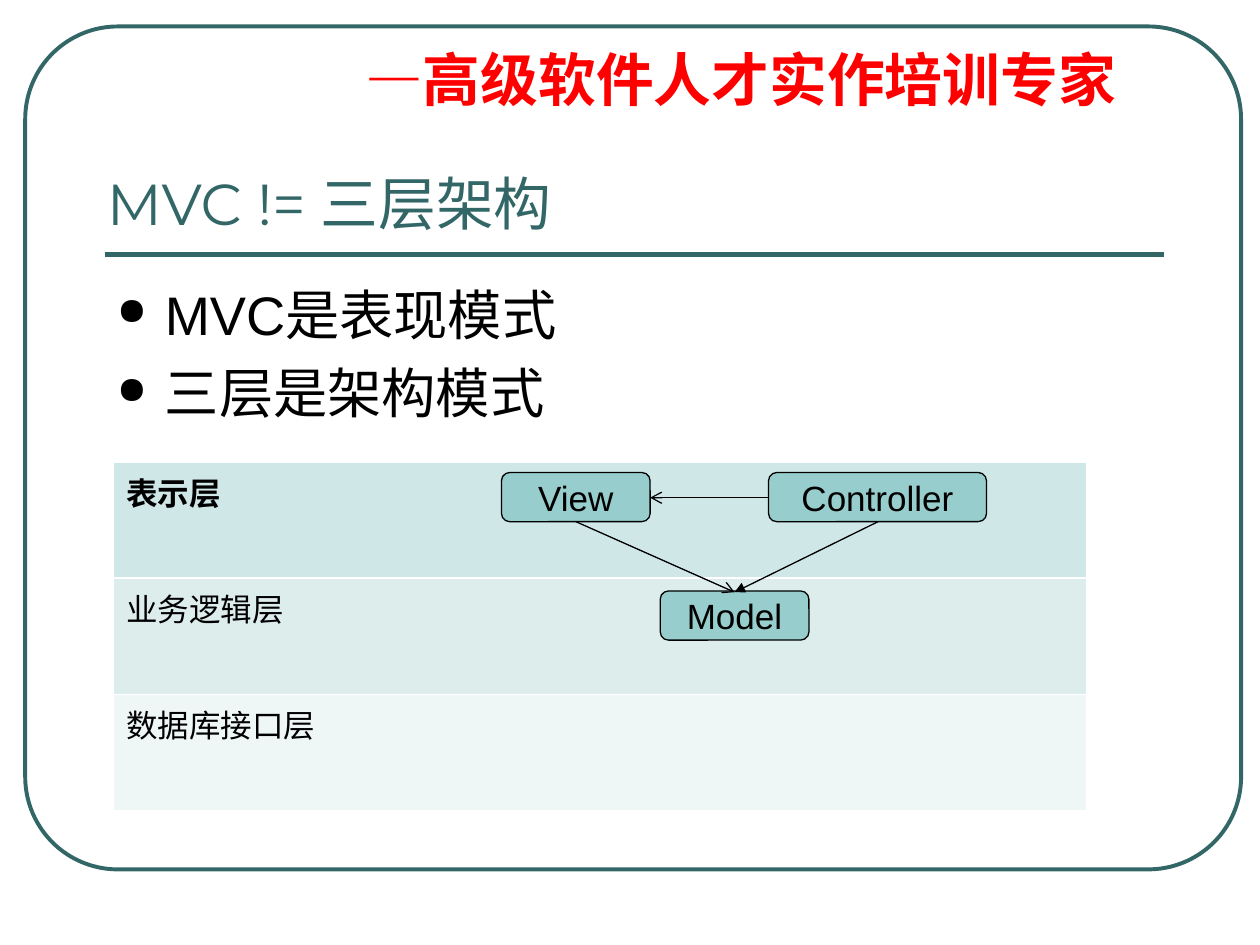
from lxml import etree
from pptx import Presentation
from pptx import util as u
from pptx.dml.color import RGBColor
from pptx.enum import shapes, text
from pptx.oxml.ns import qn

TEAL, BLACK, WHITE, RED, AQUA = "336666", "000000", "FFFFFF", "FF0000", "97CDCC"
CJK = "Noto Sans CJK SC"


def colour(value):
    return RGBColor.from_string(value)


def add_node(parent, tag, **attributes):
    return etree.SubElement(parent, qn(tag), attributes)


class SlideBuilder:
    """Draws styled elements on the current slide."""

    def __init__(self, slide):
        self.shapes = slide.shapes

    def style(self, para, size, font, value, bold=False):
        for span in para.runs:
            span.font.size, span.font.name = u.Pt(size), font
            span.font.bold = bold
            span.font.color.rgb = colour(value)
            add_node(span.font._element, "a:ea", typeface=CJK)

    def indent(self, para):
        properties = para._p.get_or_add_pPr()
        properties.set("marL", str(u.Inches(0.38)))
        properties.set("indent", str(-u.Inches(0.38)))
        return properties

    def text_box(self, left, top, width, height, lines, anchor=text.MSO_ANCHOR.TOP):
        frame = self.shapes.add_textbox(*map(u.Inches, (left, top, width, height))).text_frame
        frame.word_wrap = True
        frame.vertical_anchor = anchor
        frame.text = "\n".join(lines)
        return frame.paragraphs

    def bullets(self, left, top, width, height, lines):
        for para in self.text_box(left, top, width, height, lines):
            para.space_before = u.Pt(7.7)
            properties = self.indent(para)
            add_node(add_node(properties, "a:buClr"), "a:srgbClr", val=BLACK)
            add_node(properties, "a:buSzPct", val="70000")
            add_node(properties, "a:buChar", char="●")
            self.style(para, 31, "Arial", BLACK)

    def rounded(self, left, top, width, height, radius, line, weight, fill=None):
        box = self.shapes.add_shape(shapes.MSO_SHAPE.ROUNDED_RECTANGLE,
                                    *map(u.Inches, (left, top, width, height)))
        box.adjustments[0] = radius
        box.shadow.inherit = False
        box.line.color.rgb, box.line.width = colour(line), u.Pt(weight)
        if fill:
            box.fill.solid()
            box.fill.fore_color.rgb = colour(fill)
        else:
            box.fill.background()
        return box

    def component(self, label, left, top, width):
        frame = self.rounded(left, top, width, 0.39, 0.167, BLACK, 0.75, AQUA).text_frame
        frame.vertical_anchor = text.MSO_ANCHOR.TOP
        frame.text = label
        para = frame.paragraphs[0]
        para.alignment = text.PP_ALIGN.CENTER
        para.line_spacing, para.space_before = 0.9, u.Pt(5)
        self.style(para, 20, "Arial", BLACK)

    def line(self, start, end, value=BLACK, weight=0.75, head=None):
        link = self.shapes.add_connector(shapes.MSO_CONNECTOR.STRAIGHT,
                                         *map(u.Inches, (*start, *end)))
        link.line.color.rgb, link.line.width = colour(value), u.Pt(weight)
        if head:
            add_node(link.line._get_or_add_ln(), "a:tailEnd", type=head)
        add_node(link._element.spPr, "a:effectLst")

    def borders(self, cell, weights):
        properties = cell._tc.get_or_add_tcPr()
        for index, (side, weight) in enumerate(zip("LRTB", weights)):
            edge = add_node(properties, f"a:ln{side}", w=str(u.Pt(weight)))
            add_node(add_node(edge, "a:solidFill"), "a:srgbClr", val=WHITE)
            properties.insert(index, edge)

    def layers(self, left, top, width, row_height, rows):
        table = self.shapes.add_table(len(rows), 1, *map(
            u.Inches, (left, top, width, row_height * len(rows)))).table
        table.first_row = table.horz_banding = False
        for index, (label, fill) in enumerate(rows):
            cell = table.cell(index, 0)
            cell.text = label
            cell.fill.solid()
            cell.fill.fore_color.rgb = colour(fill)
            self.style(cell.text_frame.paragraphs[0], 18, "Arial", BLACK, index == 0)
            self.borders(cell, (0.45, 0.45, 1.47 if index == 1 else 0.45,
                                1.47 if index == 0 else 0.45))


def main():
    deck = Presentation()
    deck.slide_width, deck.slide_height = u.Inches(10), u.Inches(7.5)
    page = SlideBuilder(deck.slides.add_slide(deck.slide_layouts[6]))

    page.rounded(0.2, 0.21, 9.65, 6.69, 0.11, TEAL, 2.25)
    page.line((0.83, 2.02), (9.24, 2.02), TEAL, 3)

    slogan = page.text_box(2.8, 0.36, 6.3, 0.6, ["—"])[0]
    slogan.add_run().text = "高级软件人才实作培训专家"
    slogan.line_spacing, slogan.space_before = 0.9, u.Pt(8.2)
    page.indent(slogan)
    page.style(slogan, 33, "Montserrat", RED, True)
    slogan.runs[1].font.name = CJK

    title = page.text_box(0.75, 0.36, 8.42, 1.57, ["MVC != 三层架构"],
                          text.MSO_ANCHOR.BOTTOM)[0]
    page.style(title, 33, "Montserrat", TEAL)

    page.bullets(0.83, 2.18, 8.42, 4.48, ["MVC是表现模式", "三层是架构模式"])
    page.layers(0.9, 3.67, 7.72, 0.92, [
        ("表示层", "CFE7E7"), ("业务逻辑层", "DDEDEC"), ("数据库接口层", "EFF6F6")])

    for label, left, top, width in (("View", 3.98, 3.75, 1.18),
                                    ("Controller", 6.1, 3.75, 1.73),
                                    ("Model", 5.24, 4.69, 1.18)):
        page.component(label, left, top, width)
    model_top = (5.83, 4.7)
    page.line((6.97, 4.14), model_top, head="triangle")
    page.line((4.57, 4.14), model_top, head="arrow")
    page.line((6.1, 3.95), (5.16, 3.95), head="arrow")
    deck.save("out.pptx")


if __name__ == "__main__":
    main()
